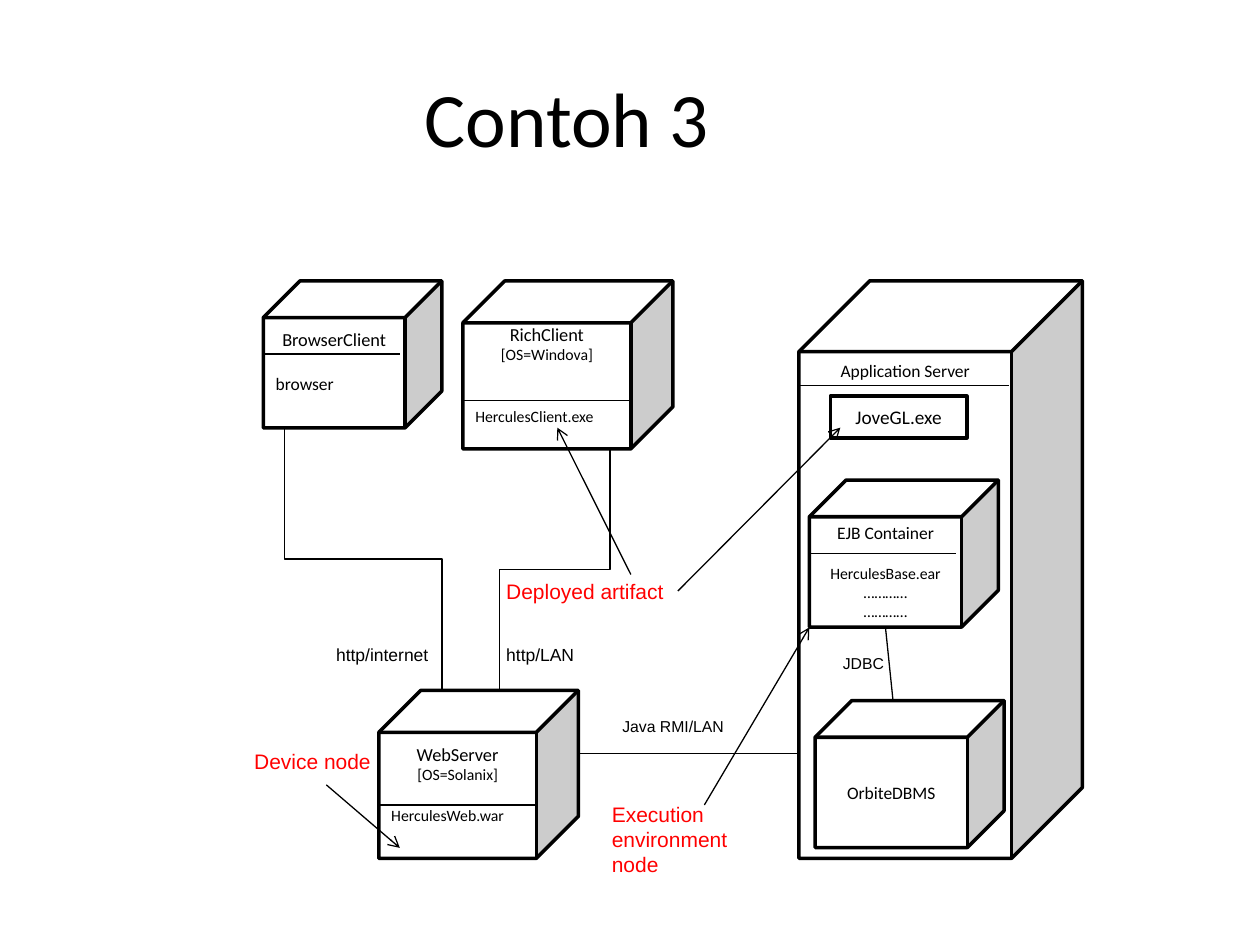
import pptx
import pptx.dml.color
import pptx.enum.shapes
import pptx.enum.text
import pptx.oxml
import pptx.oxml.ns
import pptx.util

Pt = pptx.util.Pt
SHAPES = pptx.enum.shapes.MSO_SHAPE
CONNECTORS = pptx.enum.shapes.MSO_CONNECTOR
ANCHORS = pptx.enum.text.MSO_ANCHOR
CENTER = pptx.enum.text.PP_ALIGN.CENTER
LEFT = pptx.enum.text.PP_ALIGN.LEFT
COLORS = {"ink": "000000", "face": "FFFFFF", "note": "FF0000"}


def color(name):
    """Return a named colour."""
    return pptx.dml.color.RGBColor.from_string(COLORS[name])


def write(frame, lines, font, ink="ink"):
    """Write lines of (text, size, alignment, space before) into a frame."""
    for index, (text, size, alignment, gap) in enumerate(lines):
        paragraph = frame.add_paragraph() if index else frame.paragraphs[0]
        paragraph.text = text
        paragraph.alignment = alignment
        paragraph.space_before = Pt(gap)
        paragraph.font.size = Pt(size)
        paragraph.font.name = font
        paragraph.font.color.rgb = color(ink)


def add_label(slide, box, text, size, ink="ink"):
    """Add an unwrapped label, one paragraph for each line of text."""
    frame = slide.shapes.add_textbox(*map(Pt, box)).text_frame
    frame.word_wrap = False
    write(frame, [(line, size, LEFT, 0) for line in text.split("\n")], "Arial", ink)


def add_node(slide, kind, box, lines, top=None):
    """Add an outlined node; its text starts at top or sits in the middle."""
    shape = slide.shapes.add_shape(kind, *map(Pt, box))
    shape.shadow.inherit = False
    shape.fill.solid()
    shape.fill.fore_color.rgb = color("face")
    shape.line.color.rgb = color("ink")
    shape.line.width = Pt(2)
    frame = shape.text_frame
    frame.word_wrap = True
    frame.vertical_anchor = ANCHORS.MIDDLE if top is None else ANCHORS.TOP
    if top is not None:
        frame.margin_top = Pt(top)
        frame.margin_bottom = 0
    write(frame, lines, "Calibri")


def add_line(slide, start, end, arrow=False, kind=CONNECTORS.STRAIGHT):
    """Add a thin connector, with an open arrowhead at its end if asked."""
    connector = slide.shapes.add_connector(kind, *map(Pt, (*start, *end)))
    connector.line.color.rgb = color("ink")
    connector.line.width = Pt(0.75)
    if arrow:
        line = connector.line._get_or_add_ln()
        line.append(pptx.oxml.parse_xml(
            f'<a:tailEnd {pptx.oxml.ns.nsdecls("a")} type="arrow"/>'))
    connector._element.spPr.append(pptx.oxml.parse_xml(
        f'<a:effectLst {pptx.oxml.ns.nsdecls("a")}/>'))
    return connector


def add_vertical_elbow(slide, start, end):
    """Add an elbow that leaves and arrives vertically, by a quarter turn."""
    middle_x, middle_y = (start[0] + end[0]) / 2, (start[1] + end[1]) / 2
    half_x, half_y = (end[0] - start[0]) / 2, (end[1] - start[1]) / 2
    connector = add_line(slide, (middle_x - half_y, middle_y + half_x),
                         (middle_x + half_y, middle_y - half_x), kind=CONNECTORS.ELBOW)
    connector._element.spPr.xfrm.set("rot", str(90 * 60000))


def add_title(slide, text):
    """Add the centred slide title."""
    frame = slide.shapes.add_textbox(Pt(0), Pt(21.6), Pt(648), Pt(90)).text_frame
    frame.word_wrap = True
    frame.vertical_anchor = ANCHORS.MIDDLE
    write(frame, [(text, 44, CENTER, 0)], "Calibri")


def add_clients(slide):
    """Add both client nodes and the web server with their links."""
    add_node(slide, SHAPES.CUBE, (150.5, 160.5, 102, 84), [
        ("BrowserClient", 10.5, CENTER, 0), ("browser", 10, LEFT, 12.8)], 6.3)
    add_line(slide, (150.5, 202.3), (228.5, 202.3))
    add_node(slide, SHAPES.CUBE, (264.5, 160.5, 120, 96), [
        ("RichClient", 10.5, CENTER, 0), ("[OS=Windova]", 9, CENTER, 0),
        ("HerculesClient.exe", 9, LEFT, 24.4)], 0)
    add_line(slide, (264.5, 229), (360.5, 229))
    add_node(slide, SHAPES.CUBE, (216.5, 394.5, 114, 96), [
        ("WebServer", 10.5, CENTER, 0), ("[OS=Solanix]", 9, CENTER, 0),
        ("HerculesWeb.war", 9, LEFT, 12.2)], 6.1)
    add_line(slide, (216.5, 460), (306.5, 460))
    add_vertical_elbow(slide, (162.5, 244.5), (252.5, 394.5))
    add_vertical_elbow(slide, (348.5, 256.5), (285.5, 394.5))
    add_label(slide, (185, 364.5, 67.5, 19.4), "http/internet", 10)
    add_label(slide, (282.2, 364.5, 53.5, 19.4), "http/LAN", 10)


def add_application_server(slide):
    """Add the application server with the nodes inside it."""
    add_node(slide, SHAPES.CUBE, (456.5, 160.5, 162, 330),
             [("Application Server", 10, CENTER, 0)], 5)
    add_line(slide, (456.5, 220.3), (576.5, 220.3))
    add_node(slide, SHAPES.RECTANGLE, (474.5, 226.3, 78, 24),
             [("JoveGL.exe", 11, CENTER, 0)])
    dots = ("…………", 9, CENTER, 0)
    add_node(slide, SHAPES.CUBE, (462.5, 274.3, 108, 84), [
        ("EJB Container", 10, CENTER, 0),
        ("HerculesBase.ear", 9, CENTER, 12.2), dots, dots], 2.8)
    add_line(slide, (462.5, 316.3), (546.5, 316.3))
    add_node(slide, SHAPES.CUBE, (465.8, 400.3, 108, 84),
             [("OrbiteDBMS", 10, CENTER, 0)])
    add_line(slide, (506, 358.5), (510.3, 400.3))
    add_label(slide, (474.5, 370, 38, 18), "JDBC", 9)
    add_line(slide, (330.5, 430.4), (456.5, 430.4))
    add_label(slide, (348.5, 406, 90, 18), "Java RMI/LAN", 9)


def add_notes(slide):
    """Add the red remarks and their arrows."""
    add_label(slide, (138.2, 424.1, 81, 21.6), "Device node", 12, "note")
    add_label(slide, (282.2, 326.9, 105, 21.6), "Deployed artifact", 12, "note")
    add_label(slide, (342.5, 454.4, 80.6, 51), "Execution\nenvironment\nnode", 12, "note")
    for start, end in (((186.5, 448.5), (228.5, 484.5)),
                       ((360.5, 328.3), (318.5, 244.4)),
                       ((402.5, 460), (462.5, 358.5)),
                       ((387.4, 337.7), (480.2, 244.4))):
        add_line(slide, start, end, arrow=True)


def main():
    """Build and save the deployment diagram."""
    presentation = pptx.Presentation()
    presentation.slide_width, presentation.slide_height = Pt(720), Pt(540)
    slide = presentation.slides.add_slide(presentation.slide_layouts[6])
    add_title(slide, "Contoh 3")
    add_clients(slide)
    add_application_server(slide)
    add_notes(slide)
    presentation.save("out.pptx")


main()
